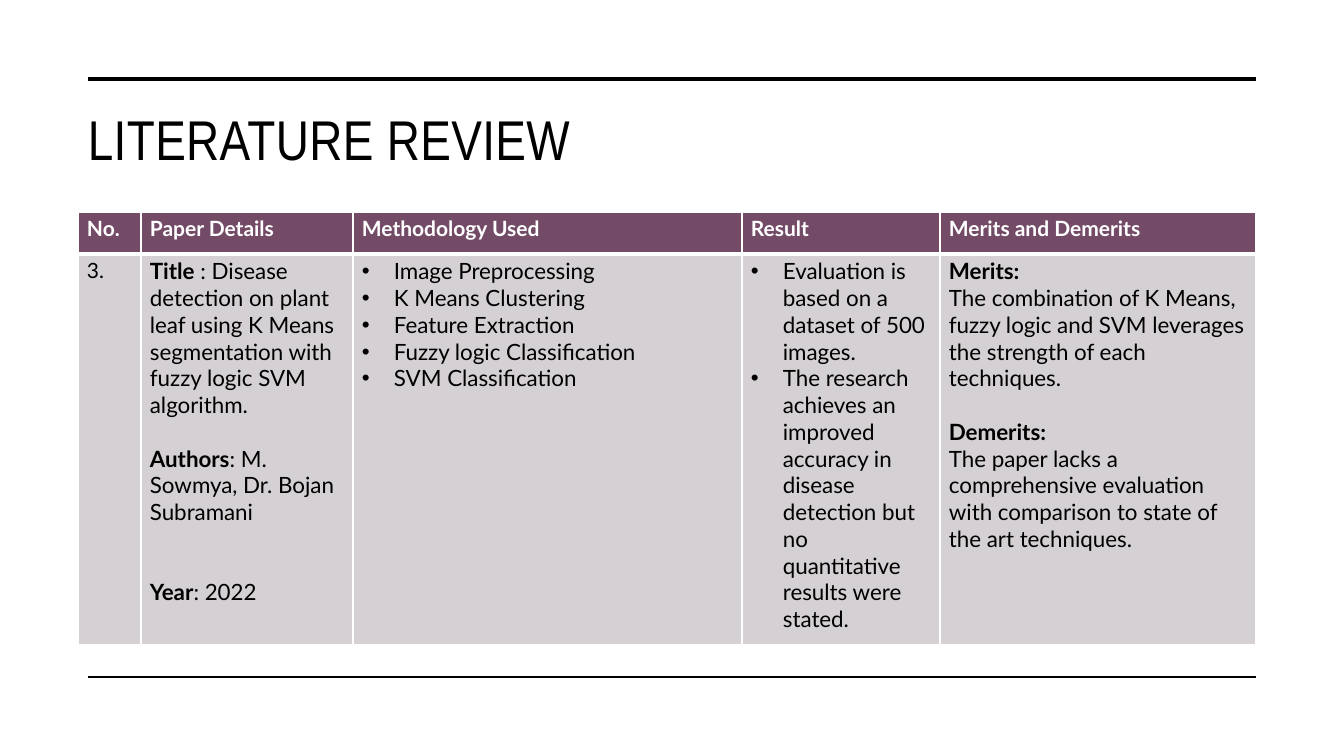
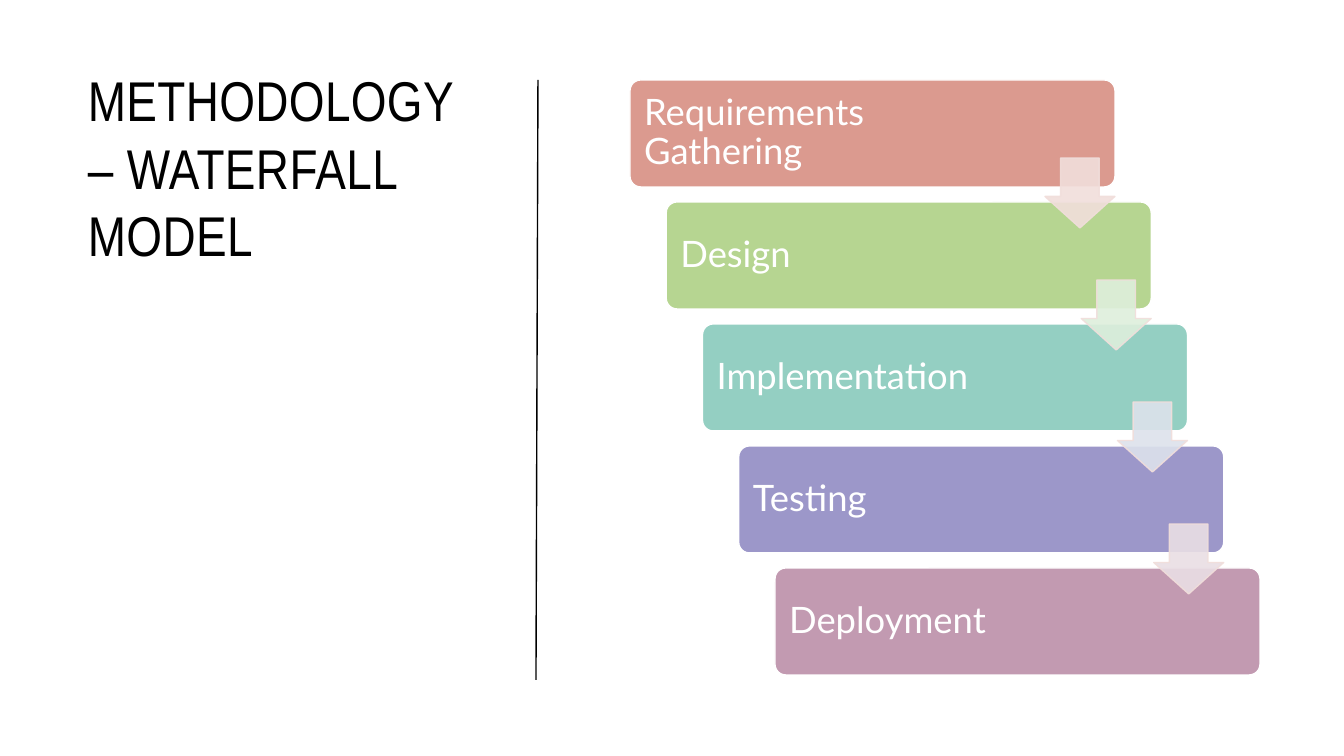
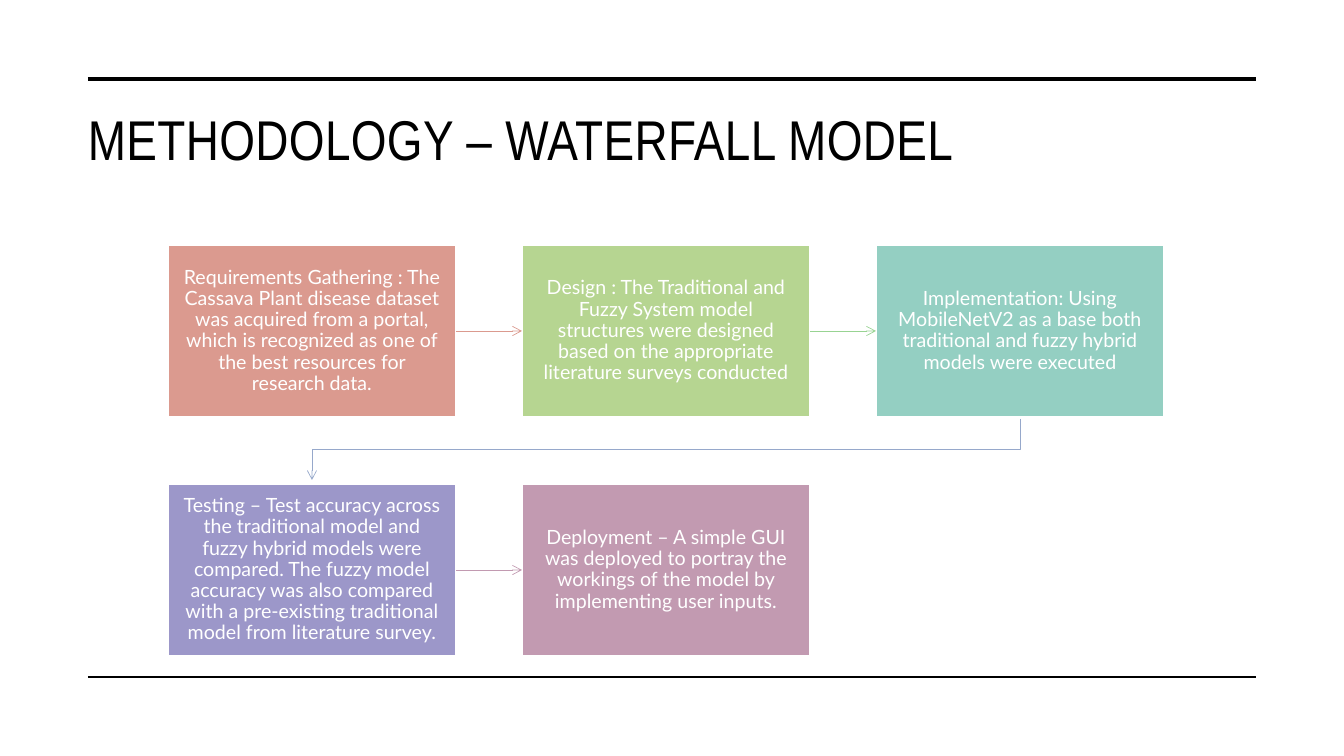
import lxml.etree
import pptx
import pptx.dml.color
import pptx.enum.shapes
import pptx.enum.text
import pptx.oxml.ns
import pptx.util

SHAPE = pptx.enum.shapes.MSO_SHAPE
ANCHOR = pptx.enum.text.MSO_ANCHOR
ALIGN = pptx.enum.text.PP_ALIGN
qn = pptx.oxml.ns.qn

BLACK, WHITE = "000000", "FFFFFF"
HEADER, BODY = "734B67", "D5D0D3"
PHASE_COLORS = ["DB9A8F", "B6D591", "94CFC2", "9C97C9", "C29AB1"]
ARROW_COLORS = ["F1DEDB", "DEEFDC", "DDE2EC", "E9DEE4"]
LINK_COLORS = ["DB9A8F", "98D392", "96A8CB", "C29AB1"]
TITLE_FONT = {"name": "Arial Narrow", "size": pptx.util.Pt(40)}


def px(n):
    return round(n * 914400 / 100.8)


def rgb(color):
    return pptx.dml.color.RGBColor.from_string(color)


def apply(obj, values):
    for name, value in values.items():
        setattr(obj, name, value)


def set_margins(obj, left, top, right, bottom):
    apply(obj, {"margin_left": px(left), "margin_top": px(top),
                "margin_right": px(right), "margin_bottom": px(bottom)})


def set_line(line, color, width):
    line.color.rgb = rgb(color)
    line.width = pptx.util.Pt(width)


def add_run(p, text, color, font):
    r = p.add_run()
    r.text = text
    apply(r.font, font)
    r.font.color.rgb = rgb(color)
    return r


def lato(size, bold=False):
    return {"name": "Lato", "size": pptx.util.Pt(size), "bold": bold}


# Shared parts

def add_line(s, start, end, color, width):
    line = s.shapes.add_connector(pptx.enum.shapes.MSO_CONNECTOR.STRAIGHT,
                                  *map(px, start + end))
    set_line(line.line, color, width)
    lxml.etree.SubElement(line._element.spPr, qn("a:effectLst"))
    return line


def add_box(s, kind, box, fill, line=WHITE):
    sp = s.shapes.add_shape(kind, *map(px, box))
    sp.shadow.inherit = False
    sp.fill.solid()
    sp.fill.fore_color.rgb = rgb(fill)
    set_line(sp.line, line, 1)
    return sp


def write_label(sp, text, size, align, margins):
    tf = sp.text_frame
    apply(tf, {"word_wrap": True, "vertical_anchor": ANCHOR.MIDDLE})
    set_margins(tf, *margins)
    p = tf.paragraphs[0]
    apply(p, {"alignment": align, "line_spacing": 0.9})
    add_run(p, text, WHITE, lato(size))


def add_title(s, box, text):
    tf = s.shapes.add_textbox(*map(px, box)).text_frame
    apply(tf, {"word_wrap": True, "vertical_anchor": ANCHOR.TOP})
    r = add_run(tf.paragraphs[0], text, BLACK, TITLE_FONT)
    r._r.get_or_add_rPr().set("spc", "30")


def add_frame(s, title):
    add_line(s, (88, 79), (1256, 79), BLACK, 3.5)
    add_line(s, (88, 677), (1256, 677), BLACK, 1)
    add_title(s, (78, 100, 1178, 127), title)


def add_arrowhead(shape):
    ln = shape.line._get_or_add_ln()
    lxml.etree.SubElement(ln, qn("a:tailEnd"), type="arrow")


# Review table

def style_cell(cell, fill, borders):
    set_margins(cell, 9, 4, 9, 4)
    tcPr = cell._tc.get_or_add_tcPr()
    for side, width in borders.items():
        ln = lxml.etree.SubElement(tcPr, qn("a:ln" + side),
                                   w=str(pptx.util.Pt(width)))
        solid = lxml.etree.SubElement(ln, qn("a:solidFill"))
        lxml.etree.SubElement(solid, qn("a:srgbClr"), val=WHITE)
    cell.fill.solid()
    cell.fill.fore_color.rgb = rgb(fill)


def add_bullet(p):
    pPr = p._p.get_or_add_pPr()
    pPr.set("marL", str(px(32)))
    pPr.set("indent", str(px(-32)))
    lxml.etree.SubElement(pPr, qn("a:buFont"), typeface="Arial")
    lxml.etree.SubElement(pPr, qn("a:buChar"), char="•")


def fill_cell(cell, paragraphs, size, color, bullets=False):
    """Each paragraph is (space before in points, bold text, plain text)."""
    tf = cell.text_frame
    for i, (space, strong, plain) in enumerate(paragraphs):
        p = tf.add_paragraph() if i else tf.paragraphs[0]
        if bullets:
            add_bullet(p)
        if space:
            p.space_before = pptx.util.Pt(space)
        for text, bold in ((strong, True), (plain, False)):
            if text:
                add_run(p, text, color, lato(size, bold))


def add_review_table(s, box, widths, heights, headings, entries):
    table = s.shapes.add_table(2, len(widths), *map(px, box)).table
    for column, width in zip(table.columns, widths):
        column.width = px(width)
    for row, height in zip(table.rows, heights):
        row.height = px(height)
    for i, (heading, entry) in enumerate(zip(headings, entries)):
        head, body = table.cell(0, i), table.cell(1, i)
        style_cell(head, HEADER, {"L": 1, "R": 1, "T": 1, "B": 3})
        style_cell(body, BODY, {"L": 1, "R": 1, "T": 3, "B": 1})
        fill_cell(head, [(0, heading, "")], 15, WHITE)
        fill_cell(body, color=BLACK, **entry)


def review_slide(s):
    add_frame(s, "LITERATURE REVIEW")
    headings = ["No.", "Paper Details", "Methodology Used", "Result",
                "Merits and Demerits"]
    methods = ["Image Preprocessing", "K Means Clustering",
               "Feature Extraction", "Fuzzy logic Classification",
               "SVM Classification"]
    results = ["Evaluation is based on a dataset of 500 images.",
               "The research achieves an improved accuracy in disease "
               "detection but no quantitative results were stated."]
    details = [
        (0, "Title", " : Disease detection on plant leaf using K Means "
                     "segmentation with fuzzy logic SVM algorithm."),
        (19, "Authors", ": M. Sowmya, Dr. Bojan Subramani"),
        (38, "Year", ": 2022")]
    merits = [
        (0, "Merits:", ""),
        (0, "", "The combination of K Means, fuzzy logic and SVM leverages "
                "the strength of each techniques."),
        (19, "Demerits:", ""),
        (0, "", "The paper lacks a comprehensive evaluation with comparison "
                "to state of the art techniques.")]
    entries = [{"paragraphs": [(0, "", "3.")], "size": 15},
               {"paragraphs": details, "size": 16}]
    entries += [{"paragraphs": [(0, "", item) for item in items],
                 "size": 16, "bullets": True} for items in (methods, results)]
    entries.append({"paragraphs": merits, "size": 16})
    add_review_table(s, (78, 212, 1178, 433), [63, 212, 389, 198, 316],
                     [42, 391], headings, entries)


# Waterfall staircase

def add_staircase(s, box, phases):
    left, top, width, height = box
    step_w, step_h, arrow = 485, 107, 70
    dx = (width - step_w) / (len(phases) - 1)
    dy = (height - step_h) / (len(phases) - 1)
    for i, (phase, color) in enumerate(zip(phases, PHASE_COLORS)):
        step = add_box(s, SHAPE.ROUNDED_RECTANGLE,
                       (left + i * dx, top + i * dy, step_w, step_h), color)
        step.adjustments[0] = 0.1
        write_label(step, phase, 26, ALIGN.LEFT, (11, 8, 133, 8))
    for i, color in enumerate(ARROW_COLORS):
        x = left + i * dx + step_w - arrow
        down = add_box(s, SHAPE.DOWN_ARROW,
                       (x, top + i * dy + 78, arrow, arrow),
                       color, ARROW_COLORS[0])
        down.adjustments[0], down.adjustments[1] = 0.55, 0.45
        for clr in down._element.spPr.iter(qn("a:srgbClr")):
            lxml.etree.SubElement(clr, qn("a:alpha"), val="90000")


def waterfall_slide(s):
    add_line(s, (536, 680), (538, 80), BLACK, 1)
    add_title(s, (78, 61, 399, 503), "METHODOLOGY – WATERFALL MODEL")
    add_staircase(s, (630, 80, 630, 595),
                  ["Requirements Gathering", "Design", "Implementation",
                   "Testing", "Deployment"])


# Process grid

def link_rows(s, start, end, color):
    (x1, y1), (x2, y2) = start, end
    middle = (y1 + y2) / 2
    builder = s.shapes.build_freeform(px(x1), px(y1))
    builder.add_line_segments(
        [(px(x), px(y)) for x, y in ((x1, middle), (x2, middle), (x2, y2))],
        close=False)
    elbow = builder.convert_to_shape()
    elbow.shadow.inherit = False
    elbow.fill.background()
    set_line(elbow.line, color, 0.5)
    add_arrowhead(elbow)


def add_process(s, box, texts):
    left, top, width, height = box
    columns, w, h = 3, 288, 172
    dx, dy = (width - w) / (columns - 1), height - h
    corners = [(left + i % columns * dx, top + i // columns * dy)
               for i in range(len(texts))]
    cards = []
    for corner, text, color in zip(corners, texts, PHASE_COLORS):
        card = add_box(s, SHAPE.RECTANGLE, corner + (w, h), color)
        write_label(card, text, 14, ALIGN.CENTER, (14, 15, 14, 15))
        cards.append(card)
    for i, color in enumerate(LINK_COLORS):
        (x1, y1), (x2, y2) = corners[i:i + 2]
        if y1 == y2:
            link = add_line(s, (x1 + w, y1 + h / 2), (x2, y2 + h / 2),
                            color, 0.5)
            link.begin_connect(cards[i], 3)
            link.end_connect(cards[i + 1], 1)
            add_arrowhead(link)
        else:
            link_rows(s, (x1 + w / 2, y1 + h + 2), (x2 + w / 2, y2 - 4), color)


def process_slide(s):
    add_frame(s, "METHODOLOGY – WATERFALL MODEL")
    add_process(s, (168, 245, 996, 411), [
        "Requirements Gathering : The Cassava Plant disease dataset was "
        "acquired from a portal, which is recognized as one of the best "
        "resources for research data.",
        "Design : The Traditional and Fuzzy System model structures were "
        "designed based on the appropriate literature surveys conducted",
        "Implementation: Using MobileNetV2 as a base both traditional and "
        "fuzzy hybrid models were executed",
        "Testing – Test accuracy across the traditional model and fuzzy "
        "hybrid models were compared. The fuzzy model accuracy was also "
        "compared with a pre-existing traditional model from literature "
        "survey.",
        "Deployment – A simple GUI was deployed to portray the workings of "
        "the model by implementing user inputs."])


def main():
    prs = pptx.Presentation()
    apply(prs, {"slide_width": px(1344), "slide_height": px(756)})
    for build in (review_slide, waterfall_slide, process_slide):
        build(prs.slides.add_slide(prs.slide_layouts[6]))
    prs.save("out.pptx")


if __name__ == "__main__":
    main()
